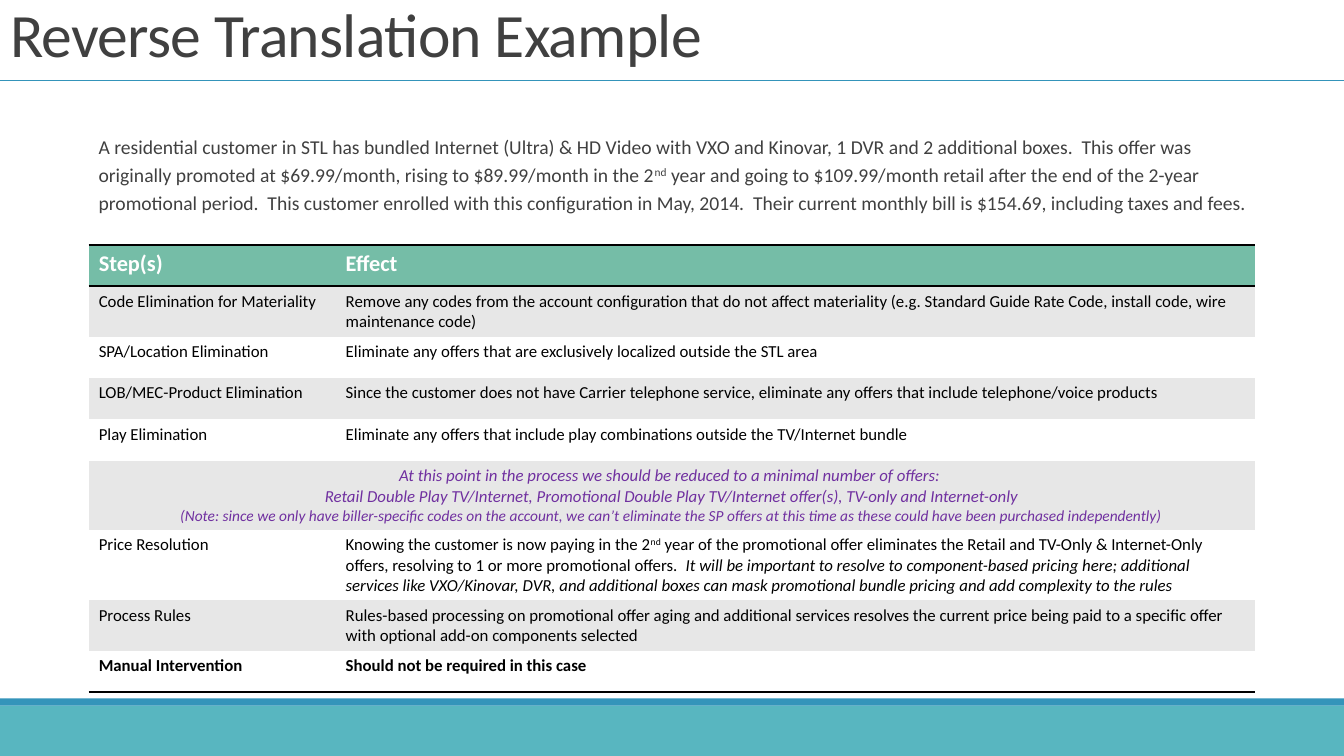
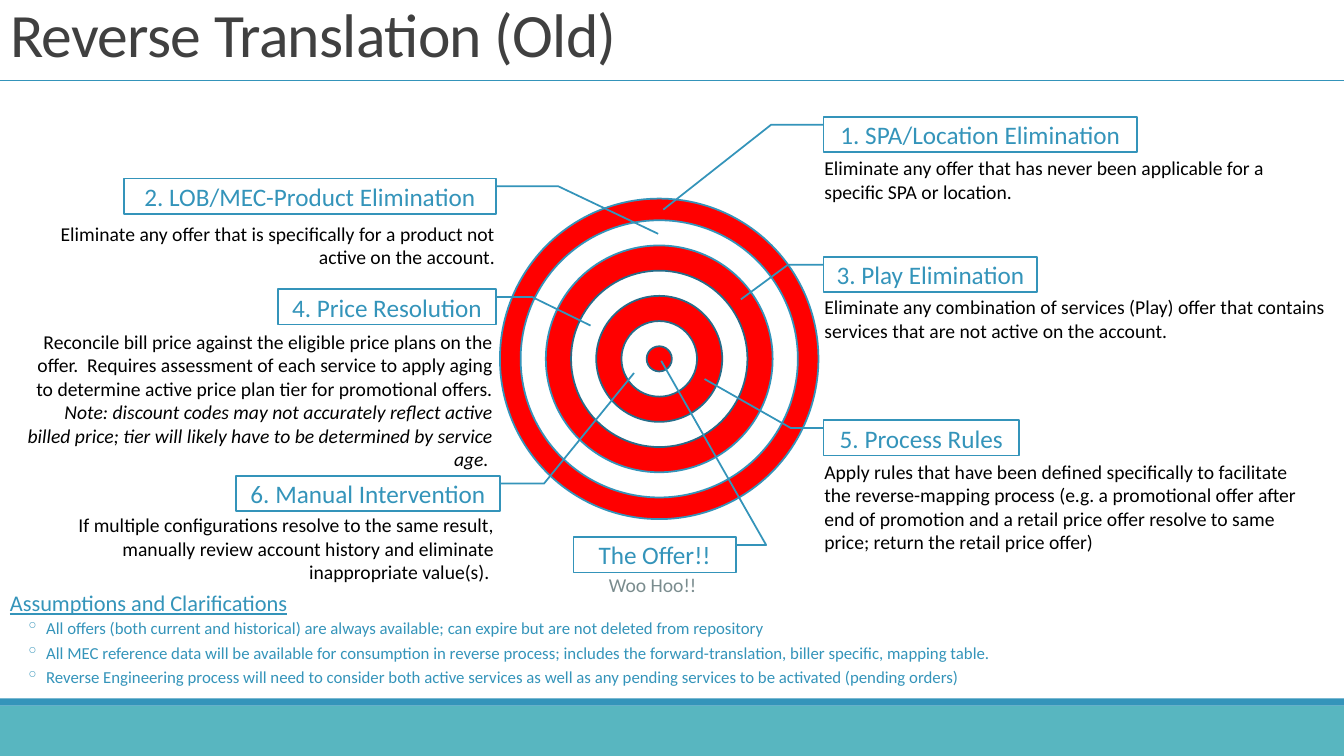
from lxml import etree
from pptx import Presentation
from pptx import util as u
from pptx.dml.color import RGBColor
from pptx.enum import shapes, text
from pptx.oxml.ns import qn

HUES = {"blue": "3494BA", "deep": "266D8A", "teal": "58B6C0", "green": "75BDA7",
        "dark": "404040", "gray": "7A8C8E", "pale": "E7E7E7", "white": "FFFFFF",
        "black": "000000", "red": "FF0000", "plum": "7030A0"}
CELL = 0.1  # grid step in inches
COLS, ROWS = 133.33, 75
FONT = "Calibri"
PLAIN = "{2D5ABB26-0587-4C30-8999-92F81FD0307C}"  # table style without grid
ALIGN = text.PP_ALIGN
MIDDLE = text.MSO_ANCHOR.MIDDLE


def grid(*steps):
    return [u.Inches(s * CELL) for s in steps]


def hue(name):
    return RGBColor.from_string(HUES[name])


def node(host, tag, **attrs):
    item = etree.SubElement(host, qn(tag))
    for key, val in attrs.items():
        item.set(key, str(val))
    return item


def assign(item, pairs):
    for key, val in pairs.items():
        setattr(item, key, val)


class Deck:
    """Holds the style and the current slide."""

    def __init__(self):
        self.show = Presentation()
        self.show.slide_width, self.show.slide_height = grid(COLS, ROWS)

    # Slide with title, rule and bottom bands
    def page(self, title):
        self.slide = self.show.slides.add_slide(self.show.slide_layouts[5])
        head = self.slide.shapes.title
        head.left, head.top, head.width, head.height = grid(0, 0, COLS, 7.5)
        head.text_frame.auto_size = text.MSO_AUTO_SIZE.NONE
        head.text_frame.vertical_anchor = text.MSO_ANCHOR.BOTTOM
        self.put(head.text_frame, [[(title, {"spc": -50})]], size=44, tint="dark",
                 alignment=ALIGN.LEFT, line_spacing=0.85)
        self.shape("RECTANGLE", (0, 70, COLS, 5), "teal")
        self.shape("RECTANGLE", (0, 69.3, COLS, 0.7), "blue")
        rule = self.slide.shapes.add_connector(
            shapes.MSO_CONNECTOR.STRAIGHT, *grid(0, 8, COLS, 8))
        rule.line.color.rgb = hue("blue")
        rule.line.width = u.Pt(1)
        node(rule._element.spPr, "a:effectLst")

    def shape(self, kind, box, fill=None, line=None):
        form = self.slide.shapes.add_shape(
            getattr(shapes.MSO_SHAPE, kind), *grid(*box))
        form.shadow.inherit = False
        if fill:
            form.fill.solid()
            form.fill.fore_color.rgb = hue(fill)
        else:
            form.fill.background()
        if line:
            form.line.color.rgb = hue(line)
            form.line.width = u.Pt(1.25)
        else:
            form.line.fill.background()
        return form

    # Paragraphs are lists of runs; a run is text or (text, format)
    def put(self, frame, paras, size=14, tint="black", **style):
        for i, runs in enumerate(paras):
            para = frame.paragraphs[0] if i == 0 else frame.add_paragraph()
            assign(para, style)
            self.fill(para, runs, size, tint)

    def fill(self, para, runs, size, tint):
        for part in runs:
            words, form = (part, {}) if isinstance(part, str) else part
            form = {"name": FONT, "size": size, "tint": tint, **form}
            run = para.add_run()
            run.text = words
            run.font.color.rgb = hue(form.pop("tint"))
            form["size"] = u.Pt(form["size"])
            for key in ("spc", "baseline"):
                if key in form:
                    run._r.get_or_add_rPr().set(key, str(form.pop(key)))
            assign(run.font, form)

    def label(self, box, paras, **style):
        area = self.slide.shapes.add_textbox(*grid(*box))
        area.text_frame.word_wrap = True
        self.put(area.text_frame, paras, **style)
        return area.text_frame

    def bullets(self, frame, items, size, tint):
        for words in items:
            para = frame.add_paragraph()
            props = para._p.get_or_add_pPr()
            props.set("marL", str(u.Inches(0.36)))
            props.set("indent", str(u.Inches(-0.2)))
            node(node(props, "a:buClr"), "a:srgbClr", val=HUES[tint])
            node(props, "a:buChar", char="◦")
            assign(para, {"line_spacing": 0.8, "space_before": u.Pt(2),
                          "space_after": u.Pt(4)})
            self.fill(para, [words], size, tint)

    # Boxed label whose bent leader ends at the tip
    def callout(self, words, box, tip, bend=0.167):
        left, top, wide, high = box
        flip = left < 80
        form = self.shape("LINE_CALLOUT_2", box, line="blue")
        if flip:
            form._element.spPr.xfrm.set("flipH", "1")
        reach = left + wide - tip[0] if flip else tip[0] - left
        turns = (0.22, 0, 0.22, -bend, (tip[1] - top) / high, reach / wide)
        for i, turn in enumerate(turns):
            form.adjustments[i] = turn
        form.text_frame.vertical_anchor = MIDDLE
        self.put(form.text_frame, [[words]], size=18, tint="blue",
                 alignment=ALIGN.CENTER)

    def rings(self, mid, rings):
        for wide, high, fill, line in rings:
            box = (mid[0] - wide / 2, mid[1] - high / 2, wide, high)
            self.shape("OVAL", box, fill, line)

    # Table: a row with one cell spans all columns
    def table(self, box, cols, rows):
        tab = self.slide.shapes.add_table(len(rows), len(cols), *grid(*box)).table
        tab._tbl.tblPr.find(qn("a:tableStyleId")).text = PLAIN
        tab.horz_banding = False
        for col, wide in zip(tab.columns, grid(*cols)):
            col.width = wide
        last = len(rows) - 1
        for r, row in enumerate(rows):
            if len(row) == 1:
                tab.cell(r, 0).merge(tab.cell(r, len(cols) - 1))
            for c, paras in enumerate(row):
                cell = tab.cell(r, c)
                look = {"size": 16, "tint": "white"} if r == 0 else {"size": 12}
                if len(row) == 1:
                    look.update(tint="plum", alignment=ALIGN.CENTER)
                self.put(cell.text_frame, paras, **look)
                for tag in {0: ("a:lnT", "a:lnB"), last: ("a:lnB",)}.get(r, ()):
                    edge = node(cell._tc.get_or_add_tcPr(), tag, w=u.Pt(2))
                    node(node(edge, "a:solidFill"), "a:srgbClr", val=HUES["black"])
                cell.fill.solid()
                cell.fill.fore_color.rgb = hue(
                    "green" if r == 0 else "pale" if r % 2 else "white")


BOLD, SLANT, RAISED = {"bold": True}, {"italic": True}, {"baseline": 30000}

INTRO = ["A residential customer in STL has bundled Internet (Ultra) & HD Video with VXO "
         "and Kinovar, 1 DVR and 2 additional boxes.  This offer was originally promoted "
         "at $69.99/month, rising to $89.99/month in the 2", ("nd", RAISED),
         " year and going to $109.99/month retail after the end of the 2-year promotional "
         "period.  This customer enrolled with this configuration in May, 2014.  Their "
         "current monthly bill is $154.69, including taxes and fees."]

STEPS = [
    ([[("Step(s)", BOLD)]], [[("Effect", BOLD)]]),
    ([["Code Elimination for Materiality"]],
     [["Remove any codes from the account configuration that do not affect materiality "
       "(e.g. Standard Guide Rate Code, install code, wire maintenance code)"]]),
    ([["SPA/Location Elimination"]],
     [["Eliminate any offers that are exclusively localized outside the STL area"]]),
    ([["LOB/MEC-Product Elimination"]],
     [["Since the customer does not have Carrier telephone service, eliminate any offers "
       "that include telephone/voice products"]]),
    ([["Play Elimination"]],
     [["Eliminate any offers that include play combinations outside the TV/Internet "
       "bundle"]]),
    ([[("At this point in the process we should be reduced to a minimal number of "
        "offers: ", SLANT)],
      [("Retail Double Play TV/Internet, Promotional Double Play TV/Internet offer(s), "
        "TV-only and Internet-only", SLANT)],
      [("(Note: since we only have biller-specific codes on the account, we can’t "
        "eliminate the SP offers at this time as these could have been purchased "
        "independently)", {"size": 11, **SLANT})]],),
    ([["Price Resolution"]],
     [["Knowing the customer is now paying in the 2", ("nd", RAISED),
       " year of the promotional offer eliminates the Retail and TV-Only & Internet-Only "
       "offers, resolving to 1 or more promotional offers.  ",
       ("It will be important to resolve to component-based pricing here; additional "
        "services like VXO/Kinovar, DVR, and additional boxes can mask promotional bundle "
        "pricing and add complexity to the rules", SLANT)]]),
    ([["Process Rules"]],
     [["Rules-based processing on promotional offer aging and additional services "
       "resolves the current price being paid to a specific offer with optional add-on "
       "components selected"]]),
    ([[("Manual Intervention", BOLD)]],
     [[("Should not be required in this case", BOLD)]]),
]

# Label, label box, leader tip, note box, note
STAGES = [
    ("1. SPA/Location Elimination", (81.7, 11.6, 31.1, 3.5), (65.8, 20.8),
     (80.8, 15, 51.7, 5.7),
     [["Eliminate any offer that has never been applicable for a specific SPA or "
       "location."]]),
    ("2. LOB/MEC-Product Elimination", (12.3, 17.7, 36.9, 3.5), (65.3, 23.2),
     (4.3, 21.5, 45.8, 5.7),
     [["Eliminate any offer that is specifically for a product not active on the "
       "account."]]),
    ("3. Play Elimination", (81.7, 25.5, 21.2, 3.5), (73.5, 29.7),
     (80.8, 28.8, 51.7, 5.7),
     [["Eliminate any combination of services (Play) offer that contains services that "
       "are not active on the account."]]),
    ("4. Price Resolution", (27.6, 28.7, 21.6, 3.5), (58.6, 32.3),
     (1.6, 32.2, 48.3, 12.8),
     [["Reconcile bill price against the eligible price plans on the offer.  Requires "
       "assessment of each service to apply aging to determine active price plan tier "
       "for promotional offers."],
      [("Note: discount codes may not accurately reflect active billed price; tier will "
        "likely have to be determined by service age. ", SLANT)]]),
    ("5. Process Rules", (81.7, 41.7, 19.4, 3.5), (69.9, 37.6),
     (80.8, 45.1, 50.3, 10.4),
     [["Apply rules that have been defined specifically to facilitate the "
       "reverse-mapping process (e.g. a promotional offer after end of promotion and a "
       "retail price offer resolve to same price; return the retail price offer)"]]),
    ("6. Manual Intervention", (23.4, 47.2, 26.2, 3.5), (62.9, 37),
     (5.9, 50.4, 44.1, 8.1),
     [["If multiple configurations resolve to the same result, manually review account "
       "history and eliminate inappropriate value(s). "]]),
]

CLAIMS = [
    "All offers (both current and historical) are always available; can expire but are "
    "not deleted from repository",
    "All MEC reference data will be available for consumption in reverse process; "
    "includes the forward-translation, biller specific, mapping table.",
    "Reverse Engineering process will need to consider both active services as well as "
    "any pending services to be activated (pending orders)",
]


def main():
    deck = Deck()

    # Example slide
    deck.page("Reverse Translation Example")
    intro = deck.label((8.8, 12.4, 115.7, 11.1), [INTRO], tint="dark",
                       line_spacing=1.2, space_after=u.Pt(2))
    intro.margin_right = 0
    deck.table((8.8, 24.3, 115.7, 4.1 * len(STEPS)), (24.5, 91.2), STEPS)

    # Target slide
    deck.page("Reverse Translation (Old)")
    inner = [(27.5 - 5 * i, 27.5 - 5 * i, "red" if i % 2 else "white",
              "blue" if i < 2 else "deep") for i in range(6)]
    deck.rings((65.4, 35.6), [(31.6, 31.8, "red", "blue")] + inner)
    for name, box, tip, spot, note in STAGES:
        deck.callout(name, box, tip)
        deck.label(spot, note, alignment=ALIGN.LEFT if box[0] > 80 else ALIGN.RIGHT)
    deck.callout("The Offer!!", (56.9, 53.3, 16.1, 3.5), (65.6, 35.8), bend=0.187)
    deck.label((56.7, 56.3, 16.1, 3.4), [["Woo Hoo!!"]], tint="gray",
               alignment=ALIGN.CENTER)

    # Assumptions
    frame = deck.label((0, 58.5, COLS, 11.3),
                       [[("Assumptions and Clarifications", {"underline": True})]],
                       size=16, tint="blue", line_spacing=0.8, space_after=u.Pt(2))
    deck.bullets(frame, CLAIMS, 12, "blue")

    deck.show.save("out.pptx")


if __name__ == "__main__":
    main()
